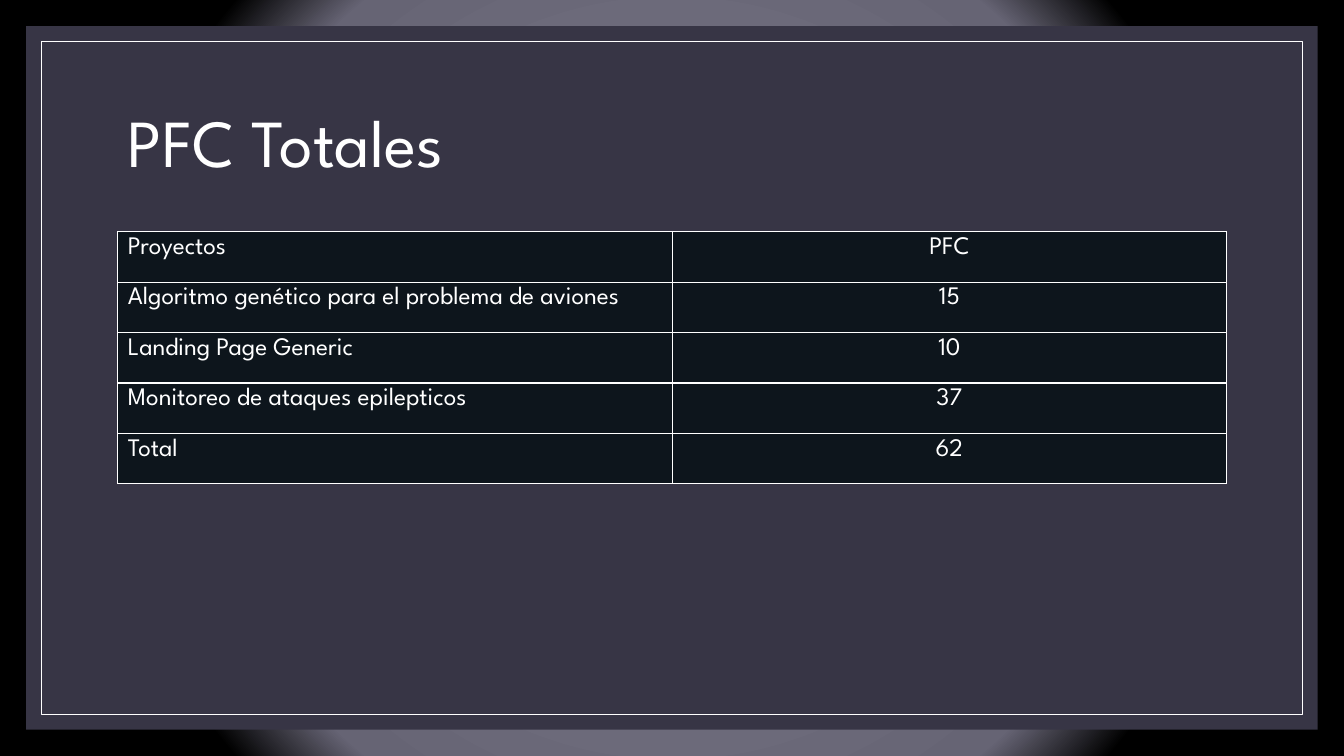
from lxml.etree import SubElement
from pptx import Presentation
from pptx.dml.color import RGBColor as Rgb
from pptx.enum.shapes import MSO_SHAPE as Shape
from pptx.enum.text import MSO_ANCHOR as Anchor, MSO_AUTO_SIZE as Auto, PP_ALIGN as Align
from pptx.oxml import parse_xml
from pptx.oxml.ns import nsdecls, qn
from pptx.util import Cm, Pt

COLORS = {"panel": "373545", "cell": "0D151C", "white": "FFFFFF"}
GLOW = [(0, "81808E"), (63, "666474"), (75, "000000"), (100, "000000")]
FONT = "League Spartan"
WIDTH, HEIGHT = 33.87, 19.05
ROWS = [
    ("Proyectos", "PFC"),
    ("Algoritmo genético para el problema de aviones", "15"),
    ("Landing Page Generic", "10"),
    ("Monitoreo de ataques epilepticos", "37"),
    ("Total", "62"),
]


def color(name):
    return Rgb.from_string(COLORS[name])


def style(para, size):
    para.font.name = FONT
    para.font.size = Pt(size)
    para.font.color.rgb = color("white")


def paint_back(slide):
    """Fill the background with a round glow."""
    stops = "".join(
        f'<a:gs pos="{pos * 1000}"><a:srgbClr val="{tone}"/></a:gs>' for pos, tone in GLOW
    )
    back = parse_xml(
        f'<p:bg {nsdecls("p", "a")}><p:bgPr><a:gradFill rotWithShape="1">'
        f'<a:gsLst>{stops}</a:gsLst><a:path path="circle">'
        '<a:fillToRect l="50000" t="50000" r="50000" b="50000"/></a:path>'
        "</a:gradFill><a:effectLst/></p:bgPr></p:bg>"
    )
    slide.element.cSld.insert(0, back)


def add_frame(slide, inset):
    """Add a rectangle set in equally from all slide edges."""
    frame = slide.shapes.add_shape(
        Shape.RECTANGLE, Cm(inset), Cm(inset), Cm(WIDTH - 2 * inset), Cm(HEIGHT - 2 * inset)
    )
    frame.shadow.inherit = False
    return frame


def add_panel(slide):
    panel = add_frame(slide, 0.66)
    panel.fill.solid()
    panel.fill.fore_color.rgb = color("panel")
    panel.line.fill.background()
    border = add_frame(slide, 1.04)
    border.fill.background()
    border.line.color.rgb = color("white")
    border.line.width = Pt(0.5)


def set_title(slide, text, left, top, width, height):
    title = slide.shapes.title
    slide.shapes.element.append(title.element)  # in front of the panel
    title.left, title.top, title.width, title.height = map(Cm, (left, top, width, height))
    frame = title.text_frame
    frame.text = text
    frame.auto_size = Auto.NONE
    frame.vertical_anchor = Anchor.MIDDLE
    para = frame.paragraphs[0]
    para.alignment = Align.LEFT
    para.line_spacing = 0.9
    style(para, 48)


def add_edges(cell):
    props = cell._tc.get_or_add_tcPr()
    for spot, side in enumerate(("lnL", "lnR", "lnT", "lnB")):
        line = props.makeelement(qn(f"a:{side}"), {"w": str(Pt(1))})
        fill = SubElement(line, qn("a:solidFill"))
        SubElement(fill, qn("a:srgbClr"), val=COLORS["white"])
        props.insert(spot, line)


def add_grid(slide, rows, left, top, width, height):
    count = len(rows)
    table = slide.shapes.add_table(
        count, len(rows[0]), Cm(left), Cm(top), Cm(width), Cm(height)
    ).table
    for r, row in enumerate(rows):
        for c, text in enumerate(row):
            cell = table.cell(r, c)
            cell.text = text
            cell.fill.solid()
            cell.fill.fore_color.rgb = color("cell")
            para = cell.text_frame.paragraphs[0]
            para.alignment = Align.CENTER if c else Align.LEFT
            style(para, 18)
            add_edges(cell)


def main():
    deck = Presentation()
    deck.slide_width, deck.slide_height = Cm(WIDTH), Cm(HEIGHT)
    slide = deck.slides.add_slide(deck.slide_layouts[5])
    paint_back(slide)
    add_panel(slide)
    left, width = 2.97, 27.94
    set_title(slide, "PFC Totales", left, 1.78, width, 3.81)
    add_grid(slide, ROWS, left, 5.84, width, 1.27 * len(ROWS))
    deck.save("out.pptx")


if __name__ == "__main__":
    main()
